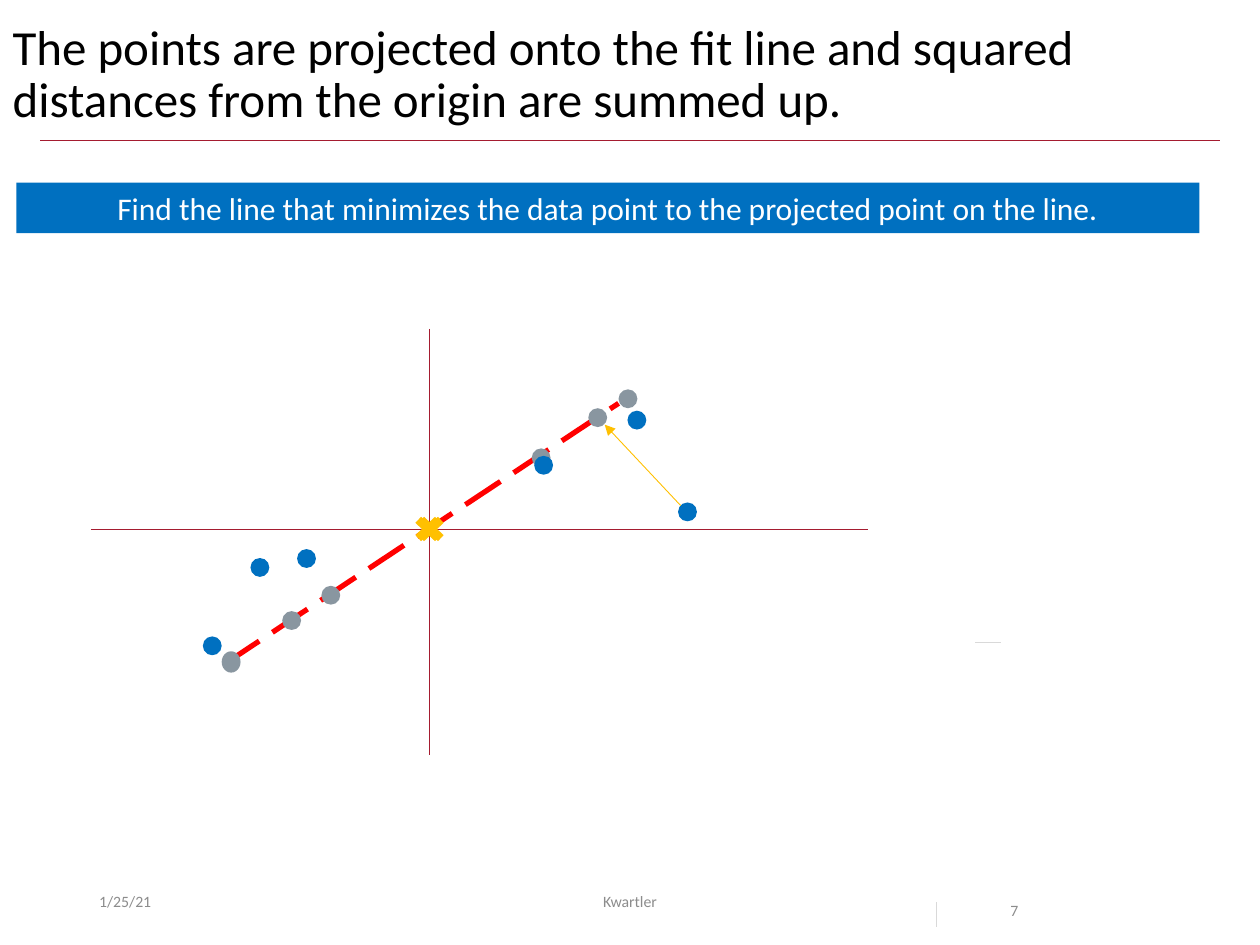
"""Builds a slide on projecting data points onto a fitted line."""
from lxml.etree import SubElement
from pptx import Presentation
from pptx.dml.color import RGBColor
from pptx.enum.dml import MSO_LINE
from pptx.enum.shapes import MSO_CONNECTOR, MSO_SHAPE
from pptx.enum.text import MSO_ANCHOR as ANCHOR, MSO_AUTO_SIZE as FIT, PP_ALIGN as ALIGN
from pptx.oxml.ns import qn
from pptx.util import Cm, Pt

BLACK = RGBColor(0x00, 0x00, 0x00)
WHITE = RGBColor(0xFF, 0xFF, 0xFF)
CRIMSON = RGBColor(0xA5, 0x1C, 0x30)
RED = RGBColor(0xFF, 0x00, 0x00)
GOLD = RGBColor(0xFF, 0xC0, 0x00)
BLUE = RGBColor(0x00, 0x70, 0xC0)
SLATE = RGBColor(0x89, 0x96, 0xA0)
GREY = RGBColor(0x8C, 0x8C, 0x8C)
PALE = RGBColor(0xD9, 0xD9, 0xD9)

DOT = 0.38
PROJECTED = [(5.69, 12.32), (6.48, 11.81), (4.47, 13.13, 0.43),
             (10.72, 9.04), (11.86, 8.23), (12.47, 7.85)]
OBSERVED = [(5.05, 11.25), (5.99, 11.07), (4.09, 12.83),
            (10.77, 9.19), (13.67, 10.13), (12.65, 8.28)]


def write(sp, text, size=9, color=GREY, align=ALIGN.LEFT, anchor=ANCHOR.TOP, spacing=None,
          font="Calibri"):
    tf = sp.text_frame
    tf.word_wrap, tf.auto_size, tf.vertical_anchor = True, FIT.NONE, anchor
    p = tf.paragraphs[0]
    p.alignment, p.line_spacing = align, spacing
    r = p.add_run()
    r.text = text
    r.font.name, r.font.size, r.font.color.rgb = font, Pt(size), color


class Deck:
    def __init__(self):
        self.prs = Presentation()
        self.prs.slide_width, self.prs.slide_height = Cm(25.4), Cm(19.05)
        self.s = self.prs.slides.add_slide(self.prs.slide_layouts[5])

    def title(self, x, y, w, h, text, **fmt):
        sp = self.s.shapes.title
        sp.left, sp.top, sp.width, sp.height = map(Cm, (x, y, w, h))
        write(sp, text, **fmt)

    def text(self, x, y, w, h, text, **fmt):
        write(self.s.shapes.add_textbox(*map(Cm, (x, y, w, h))), text, **fmt)

    def shape(self, kind, x, y, w, h, fill, parent=None):
        sp = (parent or self.s).shapes.add_shape(kind, *map(Cm, (x, y, w, h)))
        sp.shadow.inherit = False
        sp.fill.solid()
        sp.fill.fore_color.rgb = fill
        sp.line.fill.background()
        return sp

    def line(self, x1, y1, x2, y2, color, width=0.5, dash=None, arrow=False, parent=None):
        shapes = (parent or self.s).shapes
        cx = shapes.add_connector(MSO_CONNECTOR.STRAIGHT, *map(Cm, (x1, y1, x2, y2)))
        cx.line.color.rgb, cx.line.width = color, Pt(width)
        if dash:
            cx.line.dash_style = dash
        if arrow:
            SubElement(cx.line._get_or_add_ln(), qn("a:tailEnd"), type="triangle")
        SubElement(cx._element.spPr, qn("a:effectLst"))

    def axes(self):
        grp = self.s.shapes.add_group_shape()
        self.line(8.66, 6.63, 8.66, 15.21, CRIMSON, parent=grp)
        self.line(1.83, 10.67, 17.5, 10.67, CRIMSON, parent=grp)

    def points(self, dots, fill, origin_x):
        grp = self.s.shapes.add_group_shape()
        self.shape(MSO_SHAPE.MATH_MULTIPLY, origin_x, 10.31, 0.76, 0.71, GOLD, grp)
        for x, y, *height in dots:
            self.shape(MSO_SHAPE.OVAL, x, y, DOT, height[0] if height else DOT, fill, grp)


def main():
    d = Deck()
    d.title(0, 0.33, 25.4, 3.18, "The points are projected onto the fit line and squared "
            "distances from the origin are summed up.", size=28, color=BLACK, spacing=0.9)
    d.line(0.81, 2.84, 24.59, 2.84, CRIMSON)
    d.line(4.52, 13.39, 12.47, 8.13, RED, width=3, dash=MSO_LINE.LONG_DASH)
    d.text(1.75, 17.65, 5.72, 1.02, "1/25/21", anchor=ANCHOR.MIDDLE)
    d.text(8.41, 17.65, 8.58, 1.02, "Kwartler", align=ALIGN.CENTER, anchor=ANCHOR.MIDDLE)
    d.text(20.12, 17.65, 2.39, 1.02, "7", spacing=2.0)
    d.axes()
    d.points(PROJECTED, SLATE, 8.25)
    banner = d.shape(MSO_SHAPE.RECTANGLE, 0.33, 3.68, 23.85, 1.02, BLUE)
    write(banner, "Find the line that minimizes the data point to the projected point on the line.",
          size=18, color=WHITE, align=ALIGN.CENTER)
    d.points(OBSERVED, BLUE, 8.31)
    d.line(13.72, 10.19, 12.19, 8.56, GOLD, arrow=True)
    d.line(18.87, 18.19, 18.87, 18.69, PALE)
    d.line(19.66, 12.95, 20.17, 12.95, PALE)
    d.prs.save("out.pptx")


if __name__ == "__main__":
    main()
